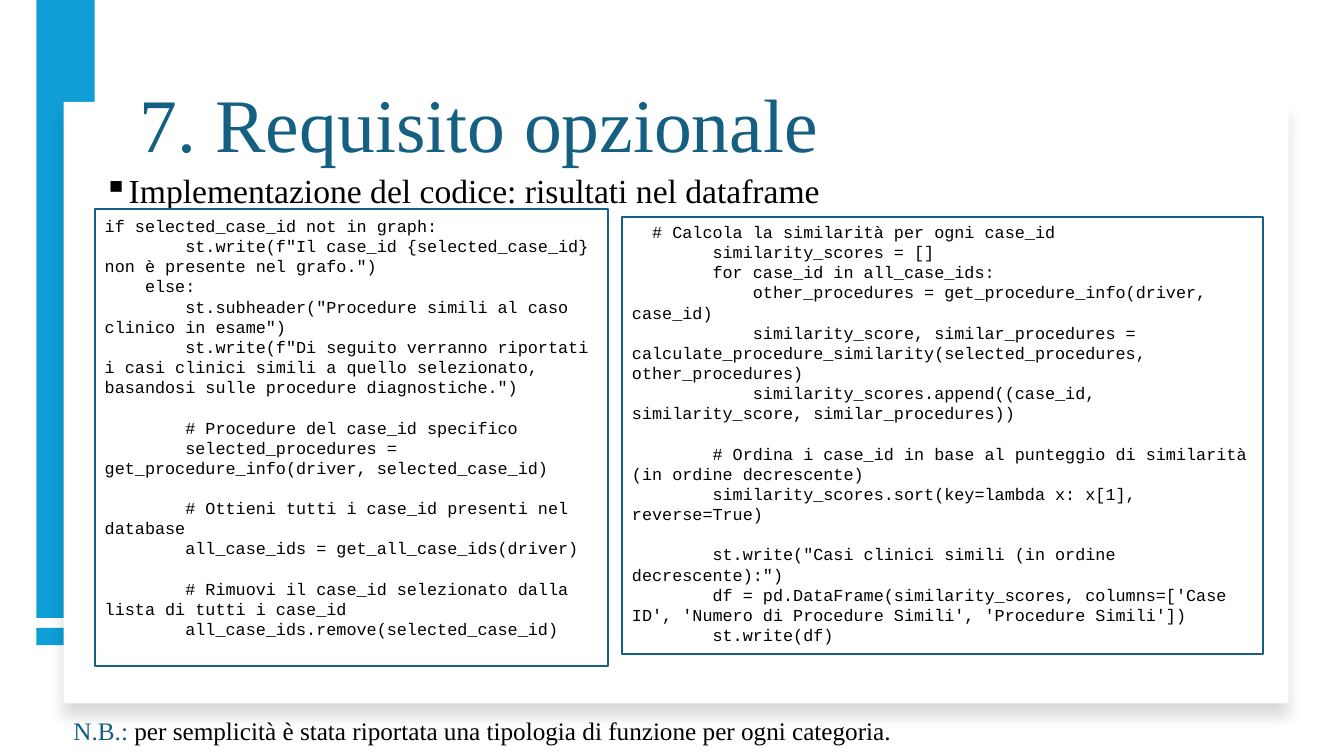
from lxml import etree
from pptx import Presentation
from pptx.dml.color import RGBColor
from pptx.enum.shapes import MSO_SHAPE
from pptx.enum.text import MSO_ANCHOR, PP_ALIGN
from pptx.oxml import parse_xml
from pptx.oxml.ns import nsdecls, qn
from pptx.util import Inches, Pt

RECT = MSO_SHAPE.RECTANGLE
TOP, MIDDLE, BOTTOM = MSO_ANCHOR.TOP, MSO_ANCHOR.MIDDLE, MSO_ANCHOR.BOTTOM
LEFT = PP_ALIGN.LEFT
BLUE = RGBColor(0x0F, 0x9E, 0xD5)
TEAL = RGBColor(0x15, 0x60, 0x82)
WHITE = RGBColor(0xFF, 0xFF, 0xFF)
BLACK = RGBColor(0, 0, 0)
SERIF = "Times New Roman"
MONO = "Courier New"

# Each code block is a list of groups set apart by one line of space.
CHECK = [
    [
        'if selected_case_id not in graph:',
        '        st.write(f"Il case_id {selected_case_id} non è presente nel grafo.")',
        '    else:',
        '        st.subheader("Procedure simili al caso clinico in esame")',
        '        st.write(f"Di seguito verranno riportati i casi clinici simili a quello '
        'selezionato, basandosi sulle procedure diagnostiche.")',
    ],
    [
        '        # Procedure del case_id specifico',
        '        selected_procedures = get_procedure_info(driver, selected_case_id)',
    ],
    [
        '        # Ottieni tutti i case_id presenti nel database',
        '        all_case_ids = get_all_case_ids(driver)',
    ],
    [
        '        # Rimuovi il case_id selezionato dalla lista di tutti i case_id',
        '        all_case_ids.remove(selected_case_id)',
    ],
]
SCORE = [
    [
        '  # Calcola la similarità per ogni case_id',
        '        similarity_scores = []',
        '        for case_id in all_case_ids:',
        '            other_procedures = get_procedure_info(driver, case_id)',
        '            similarity_score, similar_procedures = '
        'calculate_procedure_similarity(selected_procedures, other_procedures)',
        '            similarity_scores.append((case_id, similarity_score, similar_procedures))',
    ],
    [
        '        # Ordina i case_id in base al punteggio di similarità (in ordine decrescente)',
        '        similarity_scores.sort(key=lambda x: x[1], reverse=True)',
    ],
    [
        '        st.write("Casi clinici simili (in ordine decrescente):")',
        "        df = pd.DataFrame(similarity_scores, columns=['Case ID', "
        "'Numero di Procedure Simili', 'Procedure Simili'])",
        '        st.write(df)',
    ],
]


def assign(item, **values):
    for name, value in values.items():
        setattr(item, name, value)


class Deck:
    def __init__(self):
        self.prs = Presentation()
        assign(self.prs, slide_width=Inches(13.33), slide_height=Inches(7.5))
        self.slide = self.prs.slides.add_slide(self.prs.slide_layouts[6])

    def rect(self, box, fill, line=None):
        shape = self.slide.shapes.add_shape(RECT, *map(Inches, box))
        shape.shadow.inherit = False
        shape.fill.solid()
        shape.fill.fore_color.rgb = fill
        if line is None:
            shape.line.fill.background()
        else:
            shape.line.color.rgb = line
            shape.line.width = Pt(1.5)
        return shape

    def card(self, box):
        """Add a white panel with a soft shadow below it."""
        effects = self.rect(box, WHITE)._element.spPr.find(qn("a:effectLst"))
        effects.append(parse_xml(
            f'<a:outerShdw {nsdecls("a")} blurRad="{Pt(11)}" dist="{Pt(10)}" '
            'dir="5400000" algn="t" rotWithShape="0"><a:srgbClr val="000000">'
            '<a:alpha val="15000"/></a:srgbClr></a:outerShdw>'))

    def text(self, box, runs, size, anchor=TOP, bullet=None, **form):
        """Add one paragraph made of (words, colour) runs."""
        frame = self.slide.shapes.add_textbox(*map(Inches, box)).text_frame
        assign(frame, word_wrap=True, vertical_anchor=anchor)
        para = frame.paragraphs[0]
        assign(para, **form)
        if bullet:
            props = para._p.get_or_add_pPr()
            props.set("marL", str(Inches(0.2)))
            props.set("indent", str(Inches(-0.2)))
            etree.SubElement(props, qn("a:buChar"), char=bullet)
        for words, color in runs:
            run = para.add_run()
            run.text = words
            assign(run.font, name=SERIF, size=Pt(size))
            run.font.color.rgb = color

    def code(self, box, groups, **form):
        frame = self.rect(box, WHITE, TEAL).text_frame
        assign(frame, word_wrap=True, **form)
        for g, group in enumerate(groups):
            for n, line in enumerate(group):
                first = g == n == 0
                para = frame.paragraphs[0] if first else frame.add_paragraph()
                para.alignment = LEFT
                if g and not n:
                    para.space_before = Pt(14.4)
                run = para.add_run()
                run.text = line
                assign(run.font, name=MONO, size=Pt(12))
                run.font.color.rgb = BLACK


def main():
    deck = Deck()
    for top, height in ((6.23, 0.17), (0, 6.13)):
        deck.rect((0.36, top, 0.58, height), BLUE)
    deck.card((0.63, 1.01, 12.15, 5.97))
    deck.text((1.29, 0.65, 10.77, 1.07), [("7. Requisito opzionale", TEAL)], 54,
              anchor=BOTTOM, line_spacing=0.9)
    deck.text((0.93, 1.64, 10.47, 0.5),
              [("Implementazione del codice: risultati nel dataframe", BLACK)], 24,
              bullet="▪")
    deck.code((0.94, 2.07, 5.09, 4.54), CHECK, vertical_anchor=MIDDLE,
              margin_bottom=Inches(0.25))
    deck.code((6.17, 2.15, 6.36, 4.34), SCORE, vertical_anchor=TOP)
    deck.text((0.63, 7.05, 12.15, 0.4), [
        ("N.B.: ", TEAL),
        ("per semplicità è stata riportata una tipologia di funzione per ogni categoria.",
         BLACK),
    ], 18)
    deck.prs.save("out.pptx")


if __name__ == "__main__":
    main()
